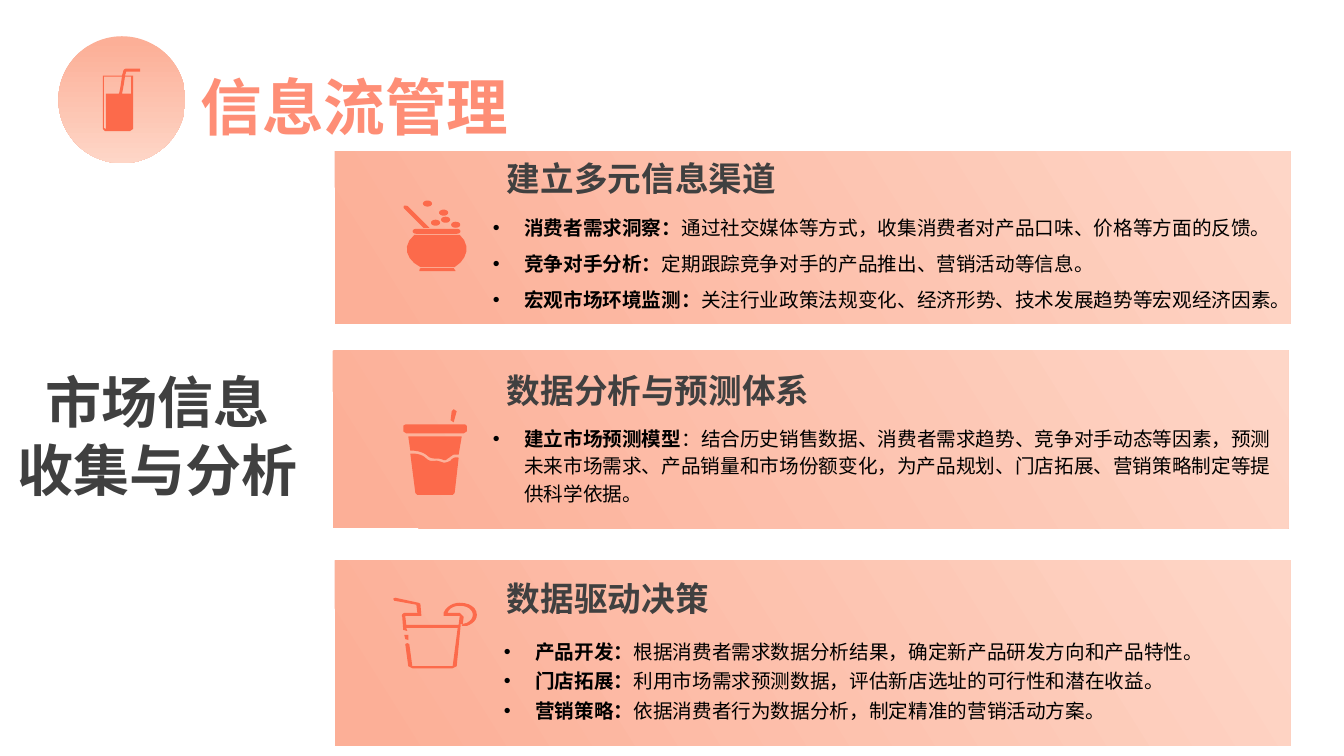
"""Build the information flow management slide."""
from math import cos, pi, sin

from lxml.etree import SubElement
from pptx import Presentation
from pptx.dml.color import RGBColor
from pptx.enum.shapes import MSO_SHAPE
from pptx.enum.text import MSO_AUTO_SIZE, PP_ALIGN
from pptx.oxml.ns import qn
from pptx.util import Inches, Pt

CORAL = RGBColor(0xFC, 0x6A, 0x4B)
SALMON = RGBColor(0xFE, 0x8E, 0x76)
PEACH = RGBColor(0xFC, 0xAF, 0x97)
PALE = RGBColor(0xFE, 0xD6, 0xC7)
DARK = RGBColor(0x40, 0x40, 0x40)
BLACK = RGBColor(0, 0, 0)
CJK = "Noto Sans CJK SC"

TITLE = "信息流管理"
SIDE_LINES = ["市场信息", "收集与分析"]


def ellipse(x, y, rx=0.045, ry=0.03, steps=20):
    """Return the points of an ellipse around x, y."""
    angles = [2 * pi * step / steps for step in range(steps)]
    return [(x + rx * cos(angle), y + ry * sin(angle)) for angle in angles]


SEEDS = [(4.52, 2.23), (4.32, 2.21), (4.42, 2.18), (4.4, 2.11), (4.24, 2.02)]
POT = [
    [(4.16, 2.69), (4.16, 2.66, 4.17, 2.66, 4.19, 2.66), (4.5, 2.66), (4.52, 2.69)],
    [(4.11, 2.33), (4.56, 2.33), (4.67, 2.43, 4.64, 2.57, 4.51, 2.65),
     (4.17, 2.65), (4.03, 2.58, 3.98, 2.44, 4.11, 2.33)],
    [(4.13, 2.27), (4.53, 2.27), (4.58, 2.27, 4.58, 2.32, 4.53, 2.32),
     (4.13, 2.32), (4.08, 2.32, 4.08, 2.27, 4.13, 2.27)],
    [(4.01, 2.04), (4.02, 2.04, 4.04, 2.04, 4.05, 2.05), (4.26, 2.26),
     (4.2, 2.26), (4.01, 2.07), (4, 2.06, 4, 2.05, 4.01, 2.04)],
] + [ellipse(*seed) for seed in SEEDS]
CUP = [
    [(4.07, 4.5), (4.09, 4.5), (4.14, 4.5, 4.19, 4.51, 4.23, 4.55),
     (4.25, 4.57, 4.28, 4.58, 4.33, 4.57), (4.37, 4.58), (4.4, 4.59),
     (4.43, 4.59, 4.45, 4.58, 4.47, 4.57), (4.48, 4.55, 4.51, 4.53, 4.55, 4.54),
     (4.51, 4.89), (4.49, 4.91), (4.14, 4.91), (4.12, 4.89)],
    [(4.05, 4.33), (4.58, 4.33), (4.55, 4.51), (4.5, 4.51),
     (4.48, 4.52, 4.46, 4.54, 4.44, 4.55), (4.42, 4.57, 4.41, 4.57, 4.39, 4.56),
     (4.37, 4.55, 4.35, 4.55, 4.32, 4.55), (4.29, 4.55, 4.26, 4.54, 4.25, 4.53),
     (4.21, 4.49, 4.15, 4.47, 4.07, 4.47)],
    [(4.03, 4.21), (4.6, 4.21), (4.62, 4.21, 4.63, 4.22, 4.63, 4.23), (4.63, 4.28),
     (4.6, 4.3), (4.03, 4.3), (4, 4.28), (4, 4.23), (4, 4.22, 4.02, 4.21, 4.03, 4.21)],
    [(4.5, 4.06), (4.53, 4.08), (4.5, 4.19), (4.47, 4.17), (4.48, 4.08)],
]
TUMBLER = [
    [(4.01, 6.3), (4.05, 6.3), (4.05, 6.35), (4.02, 6.34)],
    [(4.02, 6.39), (4.04, 6.38), (4.06, 6.39), (4.09, 6.61), (4.49, 6.61),
     (4.54, 6.23), (4.03, 6.23), (4.04, 6.26), (4, 6.25), (3.99, 6.12),
     (3.98, 6.11, 3.99, 6.08, 4.02, 6.08), (4.14, 6.08), (4.13, 6), (3.91, 5.96),
     (3.9, 5.94), (3.92, 5.93), (4.15, 5.98), (4.17, 5.99), (4.18, 6.11),
     (4.02, 6.11), (4.03, 6.2), (4.57, 6.2), (4.53, 6.61), (4.49, 6.63),
     (4.09, 6.63), (4.05, 6.61)],
    [(4.4, 6.08), (4.43, 6.01, 4.5, 5.98, 4.56, 5.98),
     (4.66, 5.98, 4.73, 6.03, 4.73, 6.1), (4.73, 6.15, 4.69, 6.19, 4.63, 6.21),
     (4.58, 6.21), (4.59, 6.19), (4.63, 6.18), (4.67, 6.16, 4.69, 6.13, 4.69, 6.1),
     (4.69, 6.05, 4.64, 6.01, 4.56, 6.01), (4.5, 6.01, 4.45, 6.04, 4.44, 6.08),
     (4.56, 6.08), (4.6, 6.12), (4.59, 6.19), (4.55, 6.2), (4.56, 6.11), (4.4, 6.11)],
]
GLASS = [
    [(1.26, 0.71), (1.39, 0.71), (1.39, 0.68), (1.26, 0.68),
     (1.23, 0.68, 1.22, 0.7, 1.22, 0.72), (1.21, 0.75), (1.02, 0.75), (1.02, 1.28),
     (1.04, 1.3), (1.29, 1.3), (1.32, 1.28), (1.32, 0.75), (1.24, 0.75),
     (1.25, 0.72), (1.25, 0.71, 1.25, 0.71, 1.26, 0.71)],
    [(1.03, 0.76), (1.21, 0.76), (1.2, 0.83, 1.19, 0.9, 1.18, 0.93),
     (1.05, 0.93), (1.05, 1.28), (1.03, 1.27)],
    [(1.3, 0.76), (1.3, 0.93), (1.21, 0.93), (1.22, 0.89, 1.23, 0.83, 1.24, 0.76)],
]

PANELS = [
    dict(frame=(3.32, 1.5, 9.48, 1.71), icon=POT, heading="建立多元信息渠道",
         heading_at=(4.93, 1.52, 2.89, 0.51), body_at=(4.79, 2.09, 8.02, 1.06),
         font="Arial", spacing=None, after=Pt(9), items=[
             ("消费者需求洞察：", "通过社交媒体等方式，收集消费者对产品口味、价格等方面的反馈。"),
             ("竞争对手分析：", "定期跟踪竞争对手的产品推出、营销活动等信息。"),
             ("宏观市场环境监测：", "关注行业政策法规变化、经济形势、技术发展趋势等宏观经济因素。")]),
    dict(frame=(3.3, 3.48, 9.48, 1.76), icon=CUP, heading="数据分析与预测体系",
         heading_at=(4.93, 3.62, 3.23, 0.62), body_at=(4.79, 4.15, 8.02, 0.92),
         font="Lato", spacing=Pt(19.5), after=None, items=[
             ("建立市场预测模型", "：结合历史销售数据、消费者需求趋势、竞争对手动态等因素，"
              "预测未来市场需求、产品销量和市场份额变化，为产品规划、门店拓展、营销策略制定等提供科学依据。")]),
    dict(frame=(3.32, 5.56, 9.48, 1.84), icon=TUMBLER, heading="数据驱动决策",
         heading_at=(4.93, 5.68, 2.22, 0.51), body_at=(4.9, 6.24, 7.9, 0.96),
         font=CJK, spacing=1.25, after=None, items=[
             ("产品开发：", "根据消费者需求数据分析结果，确定新产品研发方向和产品特性。"),
             ("门店拓展：", "利用市场需求预测数据，评估新店选址的可行性和潜在收益。"),
             ("营销策略：", "依据消费者行为数据分析，制定精准的营销活动方案。")]),
]


def set_gradient(fill, angle, stops):
    fill.gradient()
    fill.gradient_angle = angle
    for stop, (position, color) in zip(fill.gradient_stops, stops):
        stop.position = position
        stop.color.rgb = color


def add_backdrop(shapes, kind, frame, angle):
    shape = shapes.add_shape(kind, *map(Inches, frame))
    shape.shadow.inherit = False
    shape.line.fill.background()
    set_gradient(shape.fill, angle, [(0.04, PEACH), (1, PALE)])


def flatten(contour, steps=6):
    points = []
    for segment in contour:
        if len(segment) == 2:
            points.append(segment)
            continue
        knots = [points[-1], segment[:2], segment[2:4], segment[4:]]
        for step in range(1, steps + 1):
            t = step / steps
            weights = ((1 - t) ** 3, 3 * t * (1 - t) ** 2, 3 * t * t * (1 - t), t ** 3)
            points.append(tuple(sum(w * knot[axis] for w, knot in zip(weights, knots))
                                for axis in (0, 1)))
    return [(Inches(x), Inches(y)) for x, y in points]


def add_icon(shapes, contours):
    outlines = [flatten(contour) for contour in contours]
    builder = shapes.build_freeform(*outlines[0][0], scale=1.0)
    for index, outline in enumerate(outlines):
        if index:
            builder.move_to(*outline[0])
        builder.add_line_segments(outline[1:], close=True)
    icon = builder.convert_to_shape()
    icon.shadow.inherit = False
    icon.fill.solid()
    icon.fill.fore_color.rgb = CORAL
    icon.line.fill.background()


def add_box(shapes, frame, wrap=True):
    box = shapes.add_textbox(*map(Inches, frame))
    box.text_frame.word_wrap = wrap
    box.text_frame.auto_size = MSO_AUTO_SIZE.SHAPE_TO_FIT_TEXT
    return box.text_frame


def add_para(frame, index):
    return frame.add_paragraph() if index else frame.paragraphs[0]


def add_span(para, text, size, color=None, bold=True, font=CJK):
    span = para.add_run()
    span.text = text
    span.font.size = Pt(size)
    span.font.bold = bold
    if color is not None:
        span.font.color.rgb = color
    span.font.name = font
    SubElement(span.font._element, qn("a:ea")).set("typeface", CJK)
    return span


def add_bullet(para):
    properties = para._p.get_or_add_pPr()
    properties.set("marL", str(Inches(0.31)))
    properties.set("indent", str(-Inches(0.31)))
    SubElement(properties, qn("a:buFont")).set("typeface", "Arial")
    SubElement(properties, qn("a:buChar")).set("char", "•")


def add_panel(page, panel):
    shapes = page.shapes.add_group_shape().shapes
    add_backdrop(shapes, MSO_SHAPE.RECTANGLE, panel["frame"], 32)
    add_icon(shapes, panel["icon"])
    heading = add_box(shapes, panel["heading_at"], wrap=False)
    add_span(heading.paragraphs[0], panel["heading"], 24, DARK)
    body = add_box(shapes, panel["body_at"])
    for index, (label, detail) in enumerate(panel["items"]):
        para = add_para(body, index)
        add_bullet(para)
        para.line_spacing = panel["spacing"]
        if index < len(panel["items"]) - 1:
            para.space_after = panel["after"]
        add_span(para, label, 14, BLACK, True, panel["font"])
        add_span(para, detail, 14, BLACK, False, panel["font"])


def main():
    deck = Presentation()
    deck.slide_width, deck.slide_height = Inches(13.33), Inches(7.5)
    page = deck.slides.add_slide(deck.slide_layouts[6])
    for panel in PANELS:
        add_panel(page, panel)
    side = add_box(page.shapes, (0, 3.6, 3.12, 1.45))
    for index, line in enumerate(SIDE_LINES):
        para = add_para(side, index)
        para.alignment = PP_ALIGN.CENTER
        add_span(para, line, 40, DARK)
    title = add_box(page.shapes, (1.89, 0.63, 11.67, 0.84))
    span = add_span(title.paragraphs[0], TITLE, 44)
    set_gradient(span.font.fill, 144, [(0, SALMON), (1, CORAL)])
    badge = page.shapes.add_group_shape().shapes
    add_backdrop(badge, MSO_SHAPE.OVAL, (0.58, 0.36, 1.26, 1.26), 270)
    add_icon(badge, GLASS)
    deck.save("out.pptx")


if __name__ == "__main__":
    main()
